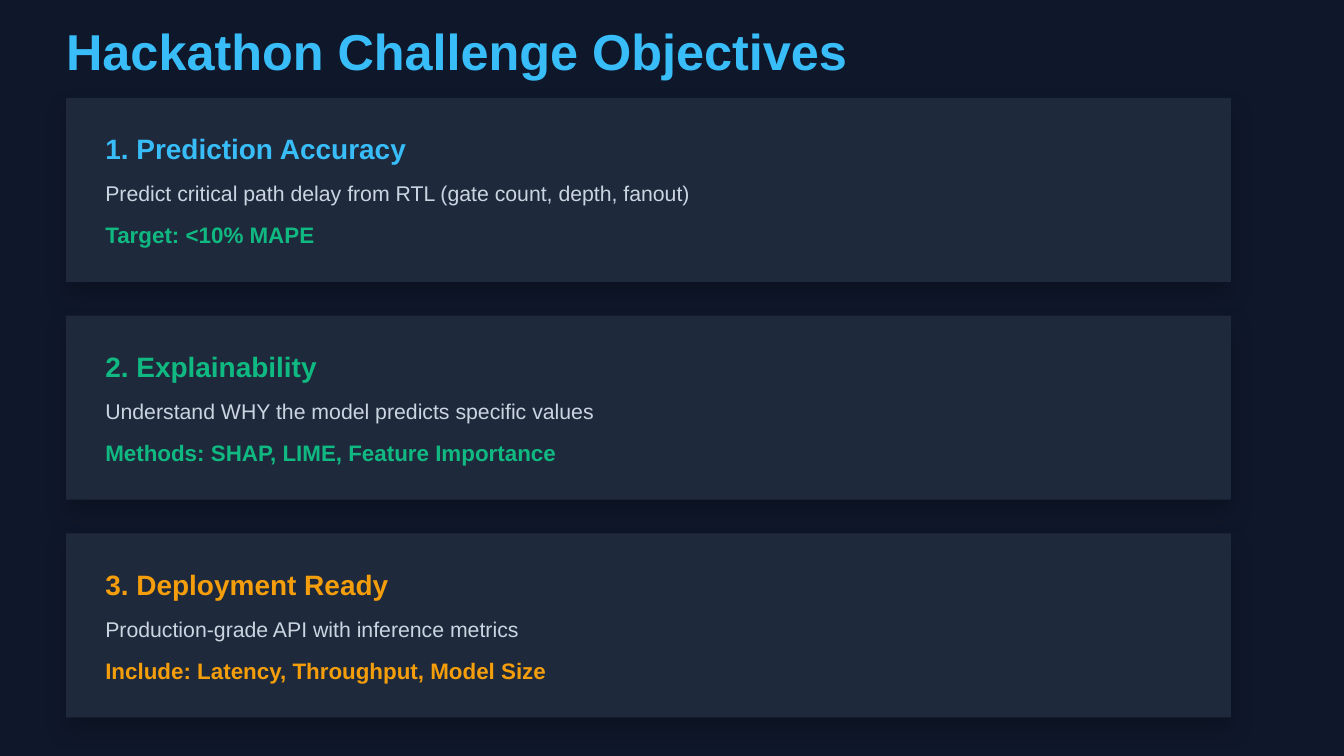
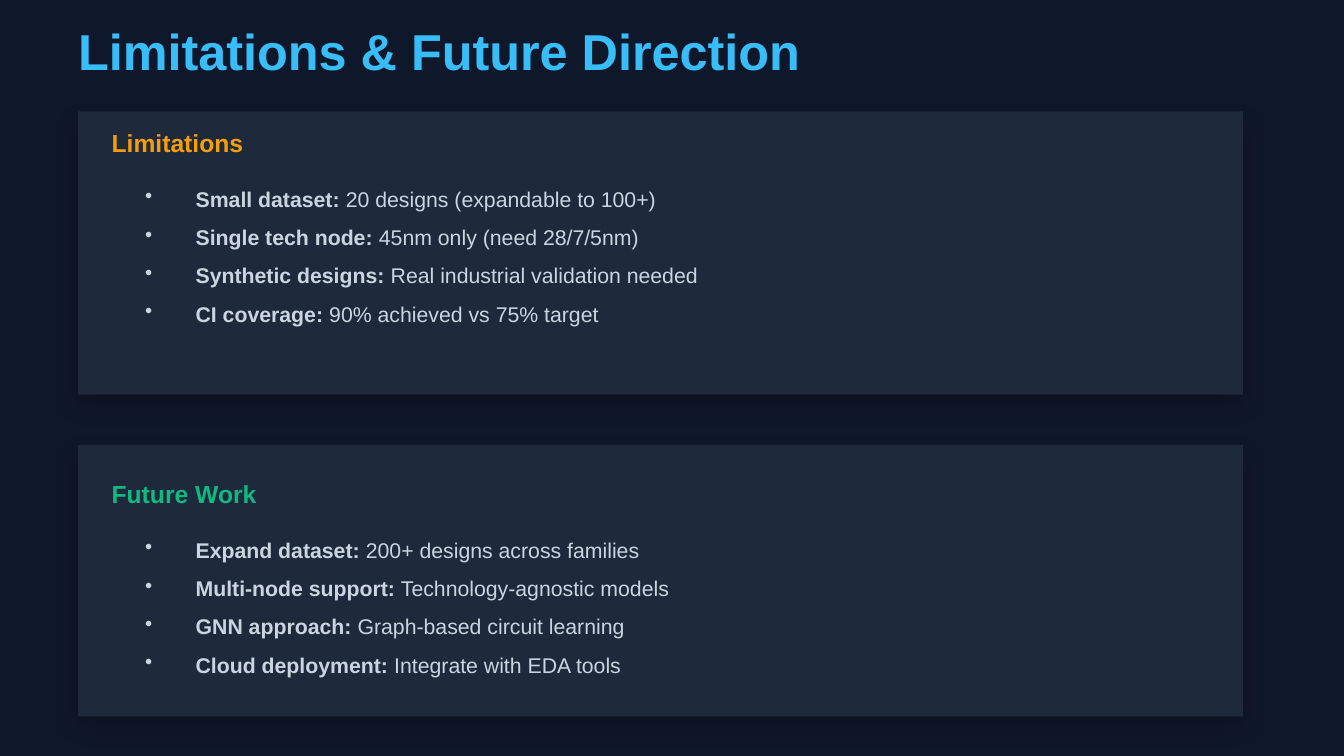
from lxml import etree
from pptx import Presentation
from pptx.dml.color import RGBColor
from pptx.enum.shapes import MSO_SHAPE
from pptx.enum.text import MSO_ANCHOR, MSO_AUTO_SIZE, PP_ALIGN
from pptx.oxml.ns import qn
from pptx.util import Pt

RECTANGLE = MSO_SHAPE.RECTANGLE
TOP = MSO_ANCHOR.TOP
LEFT = PP_ALIGN.LEFT
NO_AUTOFIT = MSO_AUTO_SIZE.NONE

FONT = "Arial"
NIGHT, SLATE, SILVER = "0F172A", "1E293B", "CBD5E1"
SKY, GREEN, AMBER = "38BDF8", "10B981", "F59E0B"

OBJECTIVES_TITLE = "Hackathon Challenge Objectives"
OBJECTIVES = [
    ("1. Prediction Accuracy", SKY,
     "Predict critical path delay from RTL (gate count, depth, fanout)",
     "Target: <10% MAPE", GREEN),
    ("2. Explainability", GREEN,
     "Understand WHY the model predicts specific values",
     "Methods: SHAP, LIME, Feature Importance", GREEN),
    ("3. Deployment Ready", AMBER,
     "Production-grade API with inference metrics",
     "Include: Latency, Throughput, Model Size", AMBER),
]

OUTLOOK_TITLE = "Limitations & Future Direction"
# heading, colour, card top, card height, space above heading, bullets
OUTLOOK = [
    ("Limitations", AMBER, 59.6, 151.8, 8.8, [
        ("Small dataset:", " 20 designs (expandable to 100+)"),
        ("Single tech node:", " 45nm only (need 28/7/5nm)"),
        ("Synthetic designs:", " Real industrial validation needed"),
        ("CI coverage:", " 90% achieved vs 75% target"),
    ]),
    ("Future Work", GREEN, 238.4, 145.4, 18, [
        ("Expand dataset:", " 200+ designs across families"),
        ("Multi-node support:", " Technology-agnostic models"),
        ("GNN approach:", " Graph-based circuit learning"),
        ("Cloud deployment:", " Integrate with EDA tools"),
    ]),
]

CARD_WIDTH = 624
OBJECTIVES_LEFT, OUTLOOK_LEFT = 35.4, 41.8
OBJECTIVE_TOP, OBJECTIVE_HEIGHT, OBJECTIVE_PITCH = 52.4, 98.6, 116.7
BULLET_INDENT = 27


def rgb(colour):
    return RGBColor.from_string(colour)


def prepare_frame(box):
    frame = box.text_frame
    frame.margin_left = frame.margin_top = 0
    frame.margin_right = frame.margin_bottom = 0
    frame.word_wrap = True
    frame.auto_size = NO_AUTOFIT
    frame.vertical_anchor = TOP
    return frame


def write_spans(para, spans, size, colour, leading):
    """Fill a paragraph with (text, bold) spans at a fixed line height."""
    para.alignment = LEFT
    para.line_spacing = Pt(leading)
    for text, bold in spans:
        span = para.add_run()
        span.text = text
        span.font.name = FONT
        span.font.size = Pt(size)
        span.font.bold = bold
        span.font.color.rgb = rgb(colour)


def add_bullet(para):
    properties = para._p.get_or_add_pPr()
    properties.set("marL", str(Pt(BULLET_INDENT)))
    properties.set("indent", str(-Pt(BULLET_INDENT)))
    etree.SubElement(properties, qn("a:buChar")).set("char", "•")


def add_page(deck, title, left):
    page = deck.slides.add_slide(deck.slide_layouts.get_by_name("Title Only"))
    box = page.shapes.title
    box.left, box.top, box.width, box.height = Pt(left), Pt(10.8), Pt(636.5), Pt(32.4)
    write_spans(prepare_frame(box).paragraphs[0], [(title, True)], 27, SKY, 32.4)
    return page


def add_card(page, left, top, height):
    card = page.shapes.add_shape(RECTANGLE, Pt(left), Pt(top), Pt(CARD_WIDTH), Pt(height))
    card.fill.solid()
    card.fill.fore_color.rgb = rgb(SLATE)
    card.line.fill.background()
    card.shadow.inherit = False
    effects = card._element.spPr.find(qn("a:effectLst"))
    shadow = etree.SubElement(effects, qn("a:outerShdw"), blurRad=str(Pt(12)),
                              dist=str(Pt(6)), dir="5400000", algn="bl", rotWithShape="0")
    black = etree.SubElement(shadow, qn("a:srgbClr"), val="000000")
    etree.SubElement(black, qn("a:alpha"), val="20000")


def add_text_box(page, left, top, width, height):
    return prepare_frame(page.shapes.add_textbox(Pt(left), Pt(top), Pt(width), Pt(height)))


def add_line(page, left, top, width, text, size, colour, leading, bold=True):
    frame = add_text_box(page, left, top, width, leading)
    write_spans(frame.paragraphs[0], [(text, bold)], size, colour, leading)


def add_bullets(page, left, top, items):
    frame = add_text_box(page, left, top, 570, 108.6)
    for index, (label, detail) in enumerate(items):
        para = frame.add_paragraph() if index else frame.paragraphs[0]
        add_bullet(para)
        write_spans(para, [(label, True), (detail, False)], 11.4, SILVER, 20.5)


def build_objectives(deck):
    page = add_page(deck, OBJECTIVES_TITLE, OBJECTIVES_LEFT)
    left, width = OBJECTIVES_LEFT + 21, 597
    for index, (heading, colour, detail, goal, goal_colour) in enumerate(OBJECTIVES):
        top = OBJECTIVE_TOP + index * OBJECTIVE_PITCH
        add_card(page, OBJECTIVES_LEFT, top, OBJECTIVE_HEIGHT)
        add_line(page, left, top + 18, width, heading, 15, colour, 18)
        add_line(page, left, top + 42, width, detail, 11.4, SILVER, 16, bold=False)
        add_line(page, left, top + 63.8, width, goal, 12, goal_colour, 16.8)


def build_outlook(deck):
    page = add_page(deck, OUTLOOK_TITLE, OUTLOOK_LEFT)
    for heading, colour, top, height, padding, items in OUTLOOK:
        add_card(page, OUTLOOK_LEFT, top, height)
        heading_top = top + padding
        add_line(page, OUTLOOK_LEFT + 18, heading_top, 600, heading, 13.2, colour, 15.8)
        add_bullets(page, OUTLOOK_LEFT + 36, heading_top + 24.5, items)


def main():
    deck = Presentation()
    deck.slide_width, deck.slide_height = Pt(720), Pt(405)
    backdrop = deck.slide_master.background.fill
    backdrop.solid()
    backdrop.fore_color.rgb = rgb(NIGHT)
    build_objectives(deck)
    build_outlook(deck)
    deck.save("out.pptx")


if __name__ == "__main__":
    main()
